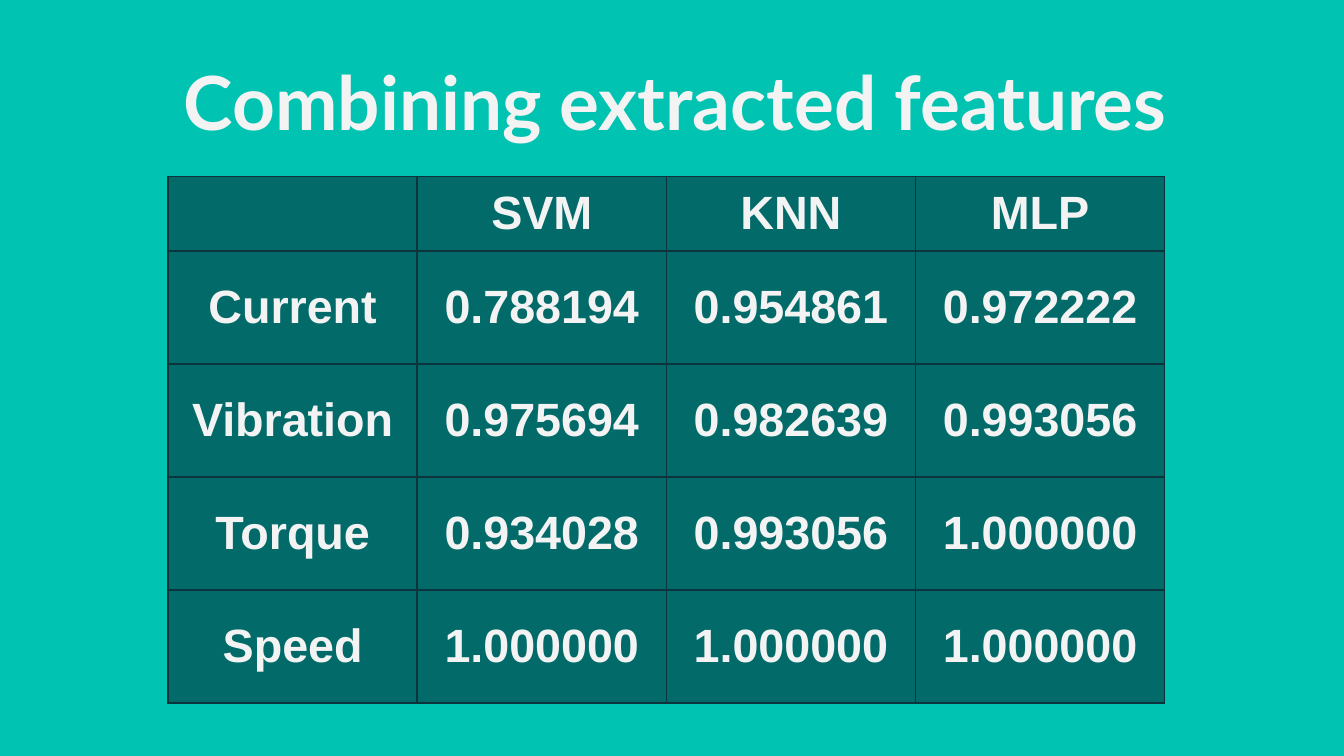
from dataclasses import dataclass

from pptx import Presentation
from pptx.dml.color import RGBColor
from pptx.enum.text import MSO_ANCHOR as Anchor, PP_ALIGN as Align
from pptx.oxml import parse_xml
from pptx.oxml.ns import nsdecls, qn
from pptx.util import Pt

TEAL = RGBColor(0x00, 0xC3, 0xB1)
NAVY = RGBColor(0x04, 0x22, 0x2E)
BORDER = RGBColor(0x0C, 0x34, 0x3D)
LIGHT = RGBColor(0xF3, 0xF3, 0xF3)
CELL_OPACITY = 54  # percent

TITLE_FONT = {"name": "Lato", "size": Pt(40), "bold": True}
CELL_FONT = {"name": "Arial", "size": Pt(25), "bold": True}


@dataclass
class Row:
    label: str
    values: tuple[str, str, str]
    height: float = 60.5


ROWS = [
    Row("", ("SVM", "KNN", "MLP"), 40),
    Row("Current", ("0.788194", "0.954861", "0.972222")),
    Row("Vibration", ("0.975694", "0.982639", "0.993056")),
    Row("Torque", ("0.934028", "0.993056", "1.000000")),
    Row("Speed", ("1.000000", "1.000000", "1.000000")),
]
COL_WIDTH = 133.5


def write(tf, text: str, font: dict) -> None:
    """Put one centred line of text into a text frame."""
    p = tf.paragraphs[0]
    p.alignment = Align.CENTER
    if not text:
        return
    r = p.add_run()
    r.text = text
    for name, value in font.items():
        setattr(r.font, name, value)
    r.font.color.rgb = LIGHT


def style_cell(cell) -> None:
    """Give a cell its translucent fill and thin borders."""
    cell.vertical_anchor = Anchor.MIDDLE
    cell.fill.solid()
    cell.fill.fore_color.rgb = NAVY
    tc_pr = cell._tc.get_or_add_tcPr()
    color = tc_pr.find(".//" + qn("a:srgbClr"))
    color.append(parse_xml(
        f'<a:alpha {nsdecls("a")} val="{CELL_OPACITY * 1000}"/>'))
    for i, side in enumerate("LRTB"):
        tc_pr.insert(i, parse_xml(
            f'<a:ln{side} {nsdecls("a")} w="{Pt(1)}"><a:solidFill>'
            f'<a:srgbClr val="{BORDER}"/></a:solidFill></a:ln{side}>'))


def add_title(s, text: str) -> None:
    tf = s.shapes.add_textbox(Pt(36), Pt(22.5), Pt(651.5), Pt(45)).text_frame
    tf.word_wrap = True
    for side in ("left", "right", "top", "bottom"):
        setattr(tf, f"margin_{side}", Pt(7.2))
    write(tf, text, TITLE_FONT)


def add_scores(s, rows: list[Row]) -> None:
    n_cols = len(rows[0].values) + 1
    table = s.shapes.add_table(
        len(rows), n_cols, Pt(90), Pt(94.5),
        Pt(n_cols * COL_WIDTH), Pt(sum(row.height for row in rows))).table
    for col in table.columns:
        col.width = Pt(COL_WIDTH)
    for i, row in enumerate(rows):
        table.rows[i].height = Pt(row.height)
        for j, text in enumerate((row.label, *row.values)):
            cell = table.cell(i, j)
            style_cell(cell)
            write(cell.text_frame, text, CELL_FONT)


def main() -> None:
    prs = Presentation()
    prs.slide_width, prs.slide_height = Pt(720), Pt(405)
    s = prs.slides.add_slide(prs.slide_layouts[6])

    # Background
    s.background.fill.solid()
    s.background.fill.fore_color.rgb = TEAL

    # Title and table of scores
    add_title(s, "Combining extracted features")
    add_scores(s, ROWS)

    prs.save("out.pptx")


if __name__ == "__main__":
    main()
